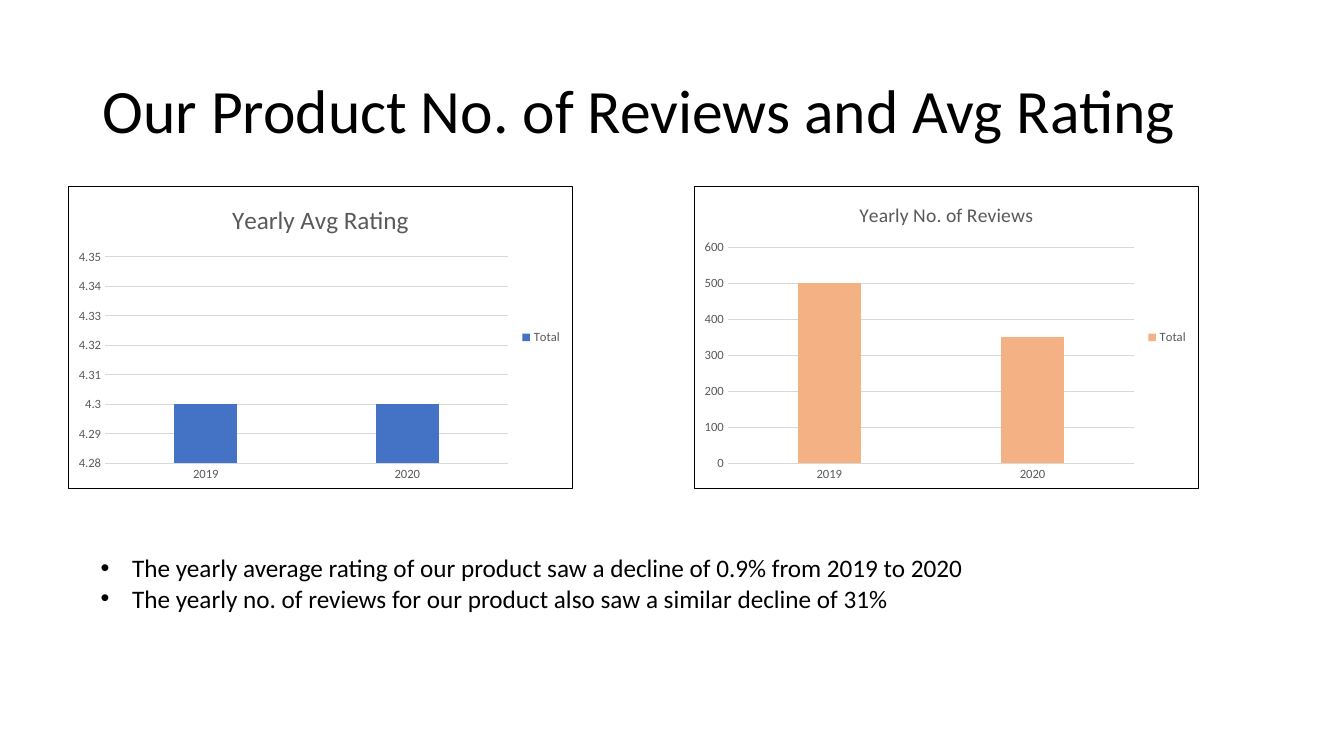
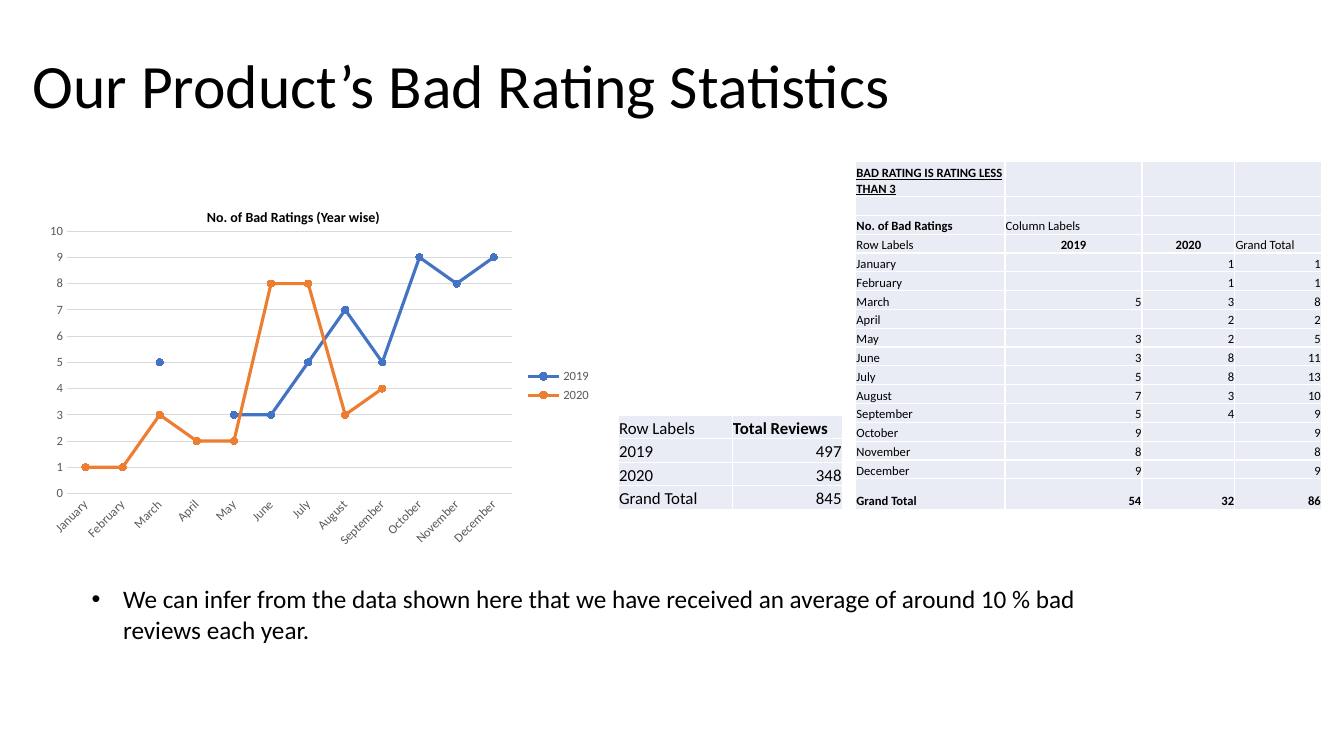
from lxml.etree import SubElement as Sub
from pptx import Presentation
from pptx.chart.data import CategoryChartData as Data
from pptx.dml.color import RGBColor as RGB
from pptx.enum.chart import XL_CHART_TYPE as Kind, XL_LEGEND_POSITION as Side
from pptx.enum.chart import XL_MARKER_STYLE as Mark, XL_TICK_MARK as Tick
from pptx.enum.text import MSO_ANCHOR as Anchor, PP_ALIGN as Align
from pptx.oxml.ns import qn
from pptx.util import Pt

FONT = "Calibri"
BLACK, WHITE = RGB(0, 0, 0), RGB(255, 255, 255)
GREY, RULE = RGB(0x59, 0x59, 0x59), RGB(0xD9, 0xD9, 0xD9)
BLUE, ORANGE = RGB(0x44, 0x72, 0xC4), RGB(0xED, 0x7D, 0x31)
PEACH, PALE = RGB(0xF4, 0xB1, 0x83), RGB(0xE9, 0xEB, 0xF5)

YEARS = ["2019", "2020"]
COUNTS = [497, 348]
REVIEWS = [round(count, -1) for count in COUNTS]
RATINGS = [4.3, 4.3]
MONTHS = ["January", "February", "March", "April", "May", "June", "July",
          "August", "September", "October", "November", "December"]
BAD = [[None, None, 5, None, 3, 3, 5, 7, 5, 9, 8, 9],
       [1, 1, 3, 2, 2, 8, 8, 3, 4, None, None, None]]


def style(font, size, color=BLACK, bold=False, under=False):
    """Set the look of a font."""
    font.name, font.size, font.bold = FONT, Pt(size), bold
    font.underline = under
    font.color.rgb = color


def put(frame, text, size=18, align=Align.LEFT, space=None, bullet=False,
        **look):
    """Write each line of text as a paragraph of the frame."""
    for i, line in enumerate(text.split("\n")):
        par = frame.add_paragraph() if i else frame.paragraphs[0]
        par.alignment = align
        if space:
            par.line_spacing = space
        if bullet:
            props = par._p.get_or_add_pPr()
            props.set("marL", str(Pt(22.5)))
            props.set("indent", str(-Pt(22.5)))
            Sub(props, qn("a:buFont"), typeface="Arial")
            Sub(props, qn("a:buChar"), char="•")
        if line:
            run = par.add_run()
            run.text = line
            style(run.font, size, **look)
        else:
            Sub(par._p, qn("a:endParaRPr"), sz=str(size * 100))


def label(slide, box, text, anchor=Anchor.TOP, **look):
    """Add a wrapped text box."""
    frame = slide.shapes.add_textbox(*map(Pt, box)).text_frame
    frame.word_wrap = True
    frame.vertical_anchor = anchor
    put(frame, text, **look)


def title(slide, left, top, text):
    """Add the slide title."""
    label(slide, (left, top, 828, 104.4), text, Anchor.MIDDLE, size=44,
          space=0.9)


def stroke(parent, tag, color=None, width=0.75):
    """Add an outline of one colour, or an empty one, in XML."""
    line = Sub(parent, qn(tag), w=str(Pt(width)))
    if color is None:
        Sub(line, qn("a:noFill"))
    else:
        fill = Sub(line, qn("a:solidFill"))
        Sub(fill, qn("a:srgbClr"), val=str(color))


def plot(slide, box, kind, names, series, border=None):
    """Add a chart with the shared axes, legend and frame."""
    data = Data()
    data.categories = names
    for name, values in series:
        data.add_series(name, values)
    chart = slide.shapes.add_chart(kind, *map(Pt, box), data).chart
    style(chart.font, 10)
    chart.has_title = False
    chart.has_legend = True
    chart.legend.position = Side.RIGHT
    chart.legend.include_in_layout = False
    style(chart.legend.font, 9, GREY)
    for axis in (chart.category_axis, chart.value_axis):
        axis.major_tick_mark = axis.minor_tick_mark = Tick.NONE
        style(axis.tick_labels.font, 9, GREY)
    ends = chart.category_axis.format.line
    grid = chart.value_axis.major_gridlines.format.line
    for line in (ends, grid):
        line.color.rgb, line.width = RULE, Pt(0.75)
    chart.value_axis.format.line.fill.background()
    chart.value_axis.tick_labels.number_format = "General"
    chart.value_axis.tick_labels.number_format_is_linked = False
    chart.plots[0].vary_by_categories = False
    space = chart._chartSpace
    props = Sub(space, qn("c:spPr"))
    Sub(props, qn("a:noFill"))
    stroke(props, "a:ln", border)
    space.find(qn("c:txPr")).addprevious(props)
    return chart


def scale(axis, low, high, step):
    """Fix the range and step of a value axis."""
    axis.minimum_scale, axis.maximum_scale = low, high
    axis.major_unit = step


def bars(slide, box, head, size, values, color, span):
    """Add a framed column chart of one value a year."""
    chart = plot(slide, box, Kind.COLUMN_CLUSTERED, YEARS,
                 [("Total", values)], BLACK)
    chart.has_title = True
    put(chart.chart_title.text_frame, head, size=size, color=GREY,
        align=Align.CENTER)
    chart.chart_title.include_in_layout = False
    chart.plots[0].gap_width, chart.plots[0].overlap = 219, -27
    fill = chart.series[0].format.fill
    fill.solid()
    fill.fore_color.rgb = color
    scale(chart.value_axis, *span)


def lines(slide, box):
    """Add the line chart of bad ratings with its heading."""
    left, top = box[:2]
    chart = plot(slide, box, Kind.LINE_MARKERS, MONTHS, zip(YEARS, BAD))
    scale(chart.value_axis, 0, 10, 1)
    labels = chart.category_axis._element.find(qn("c:txPr"))
    labels.find(qn("a:bodyPr")).set("rot", "-2700000")
    for row, color in zip(chart.series, (BLUE, ORANGE)):
        row.smooth = False
        row.format.line.color.rgb, row.format.line.width = color, Pt(2.25)
        row.marker.style, row.marker.size = Mark.CIRCLE, 5
        row.marker.format.fill.solid()
        row.marker.format.fill.fore_color.rgb = color
        row.marker.format.line.color.rgb = color
    label(slide, (left + 112.9, top - 9.6, 179.3, 19.4),
          "No. of Bad Ratings (Year wise)", size=10, bold=True)


def grid(slide, left, top, wide, high, rows, look):
    """Add a pale table; look(row, column) gives each cell's format."""
    table = slide.shapes.add_table(
        len(high), len(wide), Pt(left), Pt(top), Pt(sum(wide)),
        Pt(sum(high))).table
    table.first_row = table.horz_banding = False
    for col, size in zip(table.columns, wide):
        col.width = Pt(size)
    for r, (row, size) in enumerate(zip(rows, high)):
        table.rows[r].height = Pt(size)
        for c, value in enumerate(row):
            cell = table.cell(r, c)
            cell.margin_left = cell.margin_right = cell.margin_top = Pt(0.5)
            cell.margin_bottom = 0
            cell.vertical_anchor = Anchor.BOTTOM
            put(cell.text_frame, "" if value is None else str(value),
                **look(r, c))
            props = cell._tc.get_or_add_tcPr()
            for edge in "LRTB":
                stroke(props, "a:ln" + edge, WHITE, 1)
            cell.fill.solid()
            cell.fill.fore_color.rgb = PALE


def totals(slide, left, top):
    """Add the table of reviews by year."""
    rows = [("Row Labels", "Total Reviews"), *zip(YEARS, COUNTS),
            ("Grand Total", sum(COUNTS))]

    def look(r, c):
        """Set the numbers right and the heading bold."""
        return dict(size=12, bold=(r, c) == (0, 1),
                    align=Align.RIGHT if r and c else Align.LEFT)

    grid(slide, left, top, [81.4, 78.5], [16.8] * 4, rows, look)


def months(slide, left, top):
    """Add the table of bad ratings by month and year."""
    sums = [sum(filter(None, year)) for year in BAD]
    rows = [("BAD RATING IS RATING LESS THAN 3", "", "", ""), [""] * 4,
            ("No. of Bad Ratings", "Column Labels", "", ""),
            ("Row Labels", *YEARS, "Grand Total")]
    rows += [(month, a, b, (a or 0) + (b or 0))
             for month, a, b in zip(MONTHS, *BAD)]
    rows.append(("Grand Total", *sums, sum(sums)))
    strong = {(2, 0), (3, 1), (3, 2)}

    def look(r, c):
        """Set years centred, numbers right and totals bold."""
        align = Align.RIGHT if r > 3 and c else Align.LEFT
        if r == 3 and c in (1, 2):
            align = Align.CENTER
        return dict(size=9, align=align, under=r == 0,
                    bold=r in (0, len(rows) - 1) or (r, c) in strong)

    grid(slide, left, top, [106.6, 97.9, 66.3, 61.9],
         [25.2] + [13.44] * 15 + [21.9], rows, look)


def yearly(slide):
    """Build the slide on yearly reviews and ratings."""
    title(slide, 66.2, 28.8, "Our Product No. of Reviews and Avg Rating")
    bars(slide, (495.8, 133, 360.4, 216), "Yearly No. of Reviews", 14,
         REVIEWS, PEACH, (0, 600, 100))
    bars(slide, (48.7, 133, 360.4, 216), "Yearly Avg Rating", 18,
         RATINGS, BLUE, (4.28, 4.35, 0.01))
    label(slide, (64.8, 391.3, 816.5, 51),
          "The yearly average rating of our product saw a decline of 0.9% "
          "from 2019 to 2020\nThe yearly no. of reviews for our product "
          "also saw a similar decline of 31%", bullet=True)


def monthly(slide):
    """Build the slide on bad ratings."""
    months(slide, 611.3, 115.2)
    title(slide, 16.2, 10.8, "Our Product’s Bad Rating Statistics")
    label(slide, (58.3, 413.3, 746, 51),
          "We can infer from the data shown here that we have received an "
          "average of around 10 % bad reviews each year.", bullet=True)
    totals(slide, 441.7, 296.6)
    lines(slide, (27.8, 155, 401.8, 241.2))


deck = Presentation()
deck.slide_width, deck.slide_height = Pt(960), Pt(540)
for build in (yearly, monthly):
    build(deck.slides.add_slide(deck.slide_layouts[6]))
deck.save("out.pptx")
